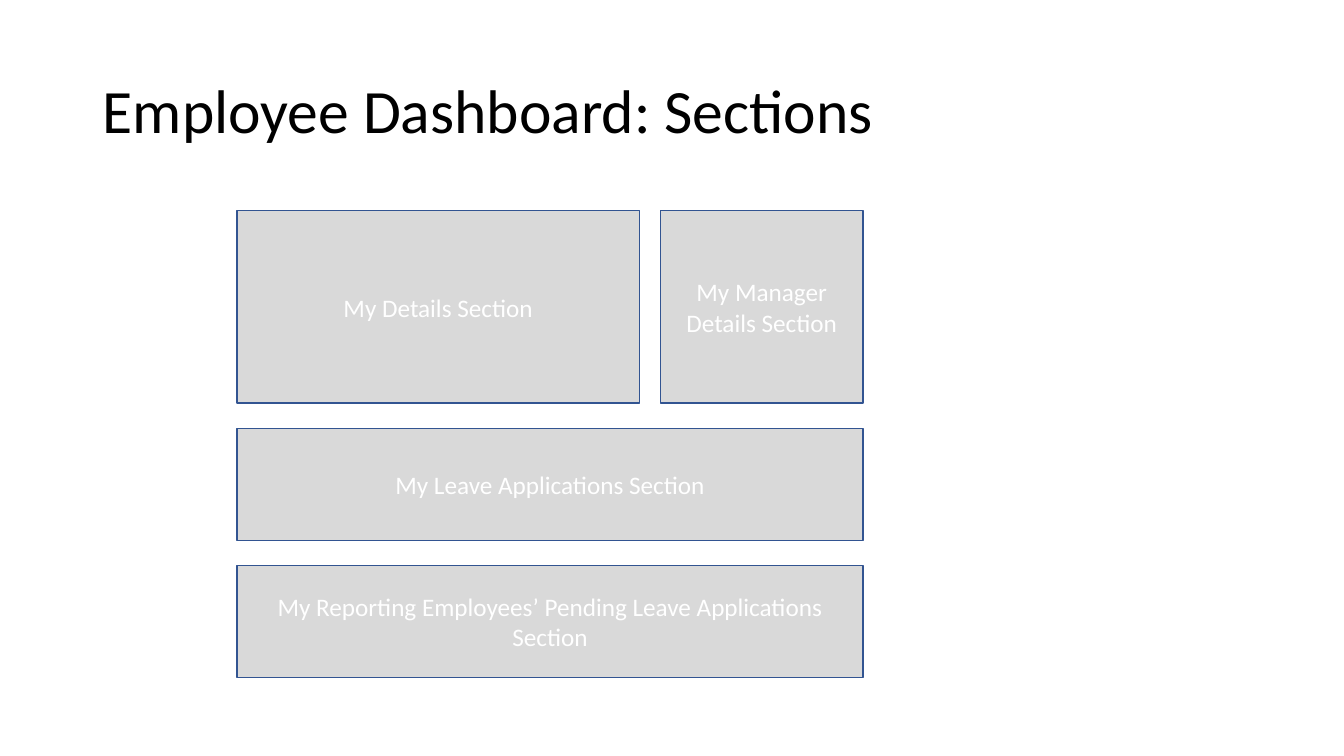
from pptx import Presentation
from pptx.dml.color import RGBColor
from pptx.enum.shapes import MSO_SHAPE
from pptx.enum.text import MSO_ANCHOR, PP_ALIGN
from pptx.util import Inches, Pt


def color(value):
    return RGBColor.from_string(value)


class DashboardSlide:
    FONT = "Calibri"
    TITLE_COLOR, LABEL_COLOR = "000000", "FFFFFF"
    FILL, OUTLINE = "D9D9D9", "325491"
    LEFT, TOP = 2.35, 2.09
    COLUMNS, COLUMN_GAP = (3.99, 2.01), 0.21
    ROWS, ROW_GAP = (1.91, 1.11, 1.11), 0.25

    def __init__(self, presentation):
        self.slide = presentation.slides.add_slide(presentation.slide_layouts[5])

    def place(self, shape, left, top, width, height):
        shape.left, shape.top = Inches(left), Inches(top)
        shape.width, shape.height = Inches(width), Inches(height)

    def set_text(self, shape, text, size, text_color, alignment):
        frame = shape.text_frame
        frame.text = text
        frame.word_wrap = True
        frame.vertical_anchor = MSO_ANCHOR.MIDDLE
        paragraph = frame.paragraphs[0]
        paragraph.alignment = alignment
        paragraph.font.name = self.FONT
        paragraph.font.size = Pt(size)
        paragraph.font.color.rgb = color(text_color)
        return paragraph

    def title(self, text):
        shape = self.slide.shapes.title
        self.place(shape, 0.92, 0.4, 11.5, 1.45)
        paragraph = self.set_text(shape, text, 44, self.TITLE_COLOR, PP_ALIGN.LEFT)
        paragraph.line_spacing = 0.9

    def section(self, text, row, column=0, span=1):
        left = self.LEFT + sum(self.COLUMNS[:column]) + column * self.COLUMN_GAP
        top = self.TOP + sum(self.ROWS[:row]) + row * self.ROW_GAP
        width = sum(self.COLUMNS[column:column + span]) + (span - 1) * self.COLUMN_GAP
        shape = self.slide.shapes.add_shape(MSO_SHAPE.RECTANGLE, 0, 0, 0, 0)
        self.place(shape, left, top, width, self.ROWS[row])
        shape.shadow.inherit = False
        shape.fill.solid()
        shape.fill.fore_color.rgb = color(self.FILL)
        shape.line.color.rgb = color(self.OUTLINE)
        shape.line.width = Pt(1)
        self.set_text(shape, text, 18, self.LABEL_COLOR, PP_ALIGN.CENTER)


presentation = Presentation()
presentation.slide_width, presentation.slide_height = Inches(13.33), Inches(7.5)

dashboard = DashboardSlide(presentation)
dashboard.title("Employee Dashboard: Sections")
dashboard.section("My Details Section", row=0)
dashboard.section("My Manager Details Section", row=0, column=1)
dashboard.section("My Leave Applications Section", row=1, span=2)
dashboard.section("My Reporting Employees’ Pending Leave Applications Section", row=2, span=2)

presentation.save("out.pptx")
